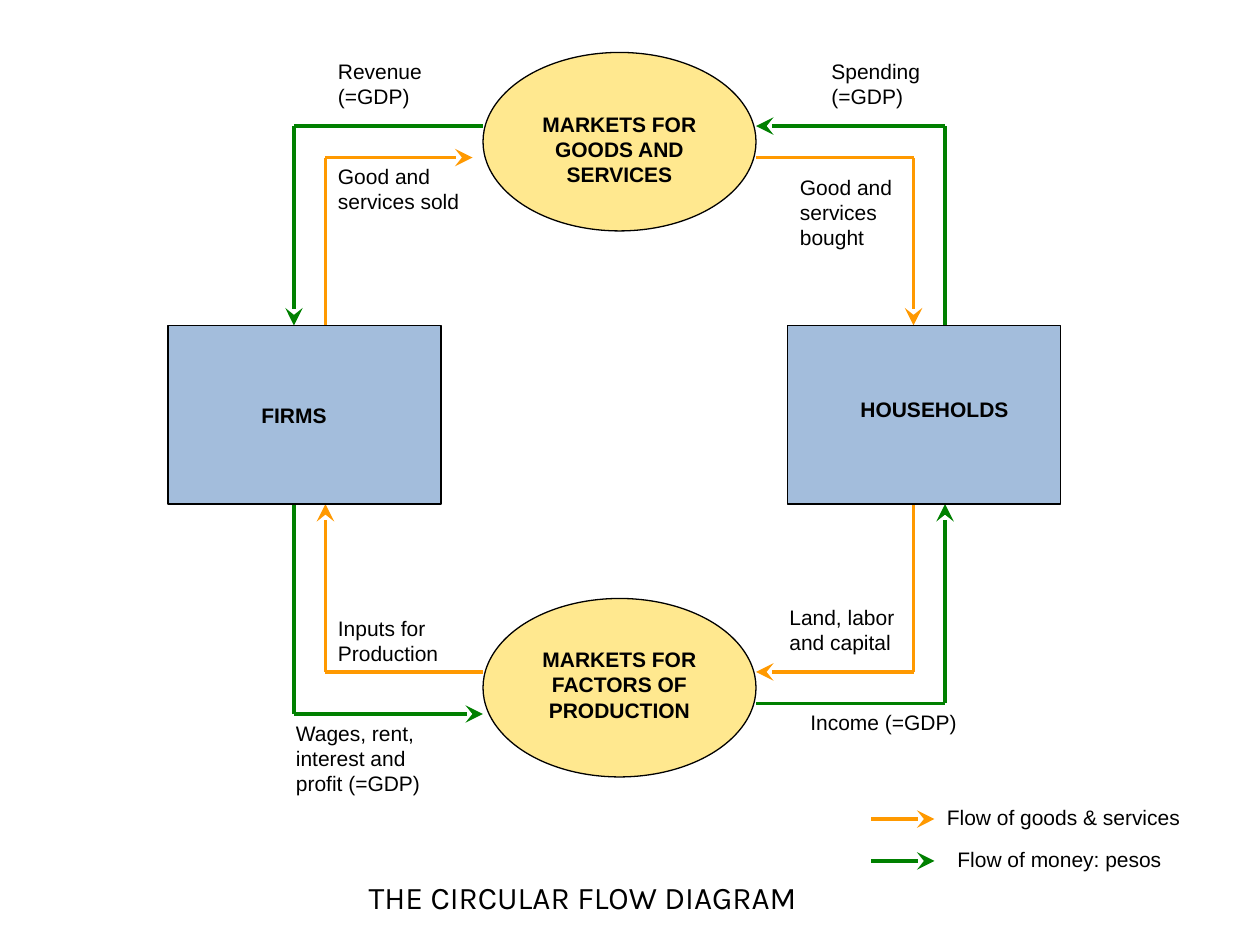
from pptx import Presentation
from pptx.dml.color import RGBColor
from pptx.enum.shapes import MSO_CONNECTOR as Line, MSO_SHAPE as Shape
from pptx.enum.text import MSO_ANCHOR as Anchor, PP_ALIGN as Align
from pptx.oxml.ns import qn
from pptx.util import Inches, Pt
from lxml.etree import SubElement

GREEN, ORANGE, BLACK = "008000", "FF9900", "000000"

deck = Presentation()
deck.slide_width, deck.slide_height = Inches(10), Inches(7.5)
slide = deck.slides.add_slide(deck.slide_layouts[5])
shapes = slide.shapes
cell = deck.slide_width / 120  # grid of 120 columns by 90 rows


def grid(*nums):
    return [round(n * cell) for n in nums]


def paint(part, color):
    part.rgb = RGBColor.from_string(color)


# Flows: colour and corner points, arrowhead at the last point
flows = [
    (GREEN, [(46, 12), (28, 12), (28, 31)]),   # revenue
    (GREEN, [(28, 48), (28, 68), (46, 68)]),   # wages
    (GREEN, [(72, 67), (90, 67), (90, 48)]),   # income
    (GREEN, [(90, 31), (90, 12), (72, 12)]),   # spending
    (ORANGE, [(31, 31), (31, 15), (45, 15)]),  # goods sold
    (ORANGE, [(72, 15), (87, 15), (87, 31)]),  # goods bought
    (ORANGE, [(46, 64), (31, 64), (31, 48)]),  # inputs
    (ORANGE, [(87, 48), (87, 64), (72, 64)]),  # land and labor
    (ORANGE, [(83, 78), (89, 78)]),            # legend
    (GREEN, [(83, 82), (89, 82)]),
]
for color, points in flows:
    for start, end in zip(points, points[1:]):
        wire = shapes.add_connector(Line.STRAIGHT, *grid(*start, *end))
        paint(wire.line.color, color)
        wire.line.width = Pt(2)
        if end == points[-1]:
            SubElement(wire.line._get_or_add_ln(), qn("a:tailEnd"),
                       type="stealth", w="lg", len="lg")
        SubElement(wire._element.spPr, qn("a:effectLst"))

# Markets and actors
nodes = [
    (Shape.OVAL, 46, 5, "FFCC00", 44),
    (Shape.OVAL, 46, 57, "FFCC00", 44),
    (Shape.RECTANGLE, 16, 31, "4F81BD", 52),
    (Shape.RECTANGLE, 75, 31, "4F81BD", 52),
]
for kind, col, row, color, share in nodes:
    node = shapes.add_shape(kind, *grid(col, row, 26, 17))
    node.shadow.inherit = False
    node.fill.solid()
    paint(node.fill.fore_color, color)
    tint = node._element.spPr.find(qn("a:solidFill"))[0]
    SubElement(tint, qn("a:alpha"), val=str(share * 1000))
    paint(node.line.color, BLACK)
    node.line.width = Pt(0.75)

# Labels: text, column, row, width, height
names = [
    ("MARKETS FOR FACTORS OF PRODUCTION", 50, 61, 18, 8.4),
    ("MARKETS FOR GOODS AND SERVICES", 50, 10, 18, 8.4),
    ("FIRMS", 24, 38, 8, 3),
    ("HOUSEHOLDS", 81, 37, 16, 4),
]
notes = [
    ("Good and services bought", 75, 16, 15, 8.4),
    ("Good and services sold", 31, 15, 14, 6),
    ("Revenue (=GDP)", 31, 5, 14, 6),
    ("Spending (=GDP)", 78, 5, 14, 6),
    ("Inputs for Production", 31, 58, 14, 6),
    ("Land, labor and capital", 74, 57, 14, 6),
    ("Wages, rent, interest and profit (=GDP)", 27, 68, 16, 8.4),
    ("Flow of goods & services", 89, 76, 29, 3.6),
    ("Flow of money: pesos", 90, 80, 28, 3.6),
    ("Income (=GDP)", 76, 67, 18, 3.6),
]
for text, *place in names + notes:
    frame = shapes.add_textbox(*grid(*place)).text_frame
    frame.text = text
    frame.word_wrap = True
    if text in ("FIRMS", "HOUSEHOLDS"):  # one word on one line
        frame.word_wrap = False
        frame.margin_left = frame.margin_right = 0
        frame.vertical_anchor = Anchor.MIDDLE
    para = frame.paragraphs[0]
    bold = text.isupper()
    para.alignment = Align.CENTER if bold else Align.LEFT
    para.font.name, para.font.size, para.font.bold = "Arial", Pt(12), bold
    paint(para.font.color, BLACK)

# Title
title = shapes.title
title.left, title.top, title.width, title.height = grid(29, 83, 53, 4.8)
frame = title.text_frame
frame.text = "THE CIRCULAR FLOW DIAGRAM"
frame.word_wrap = True
frame.vertical_anchor = Anchor.TOP
para = frame.paragraphs[0]
para.alignment = Align.CENTER
para.font.name, para.font.size = "Karla", Pt(18)
paint(para.font.color, BLACK)

deck.save("out.pptx")
